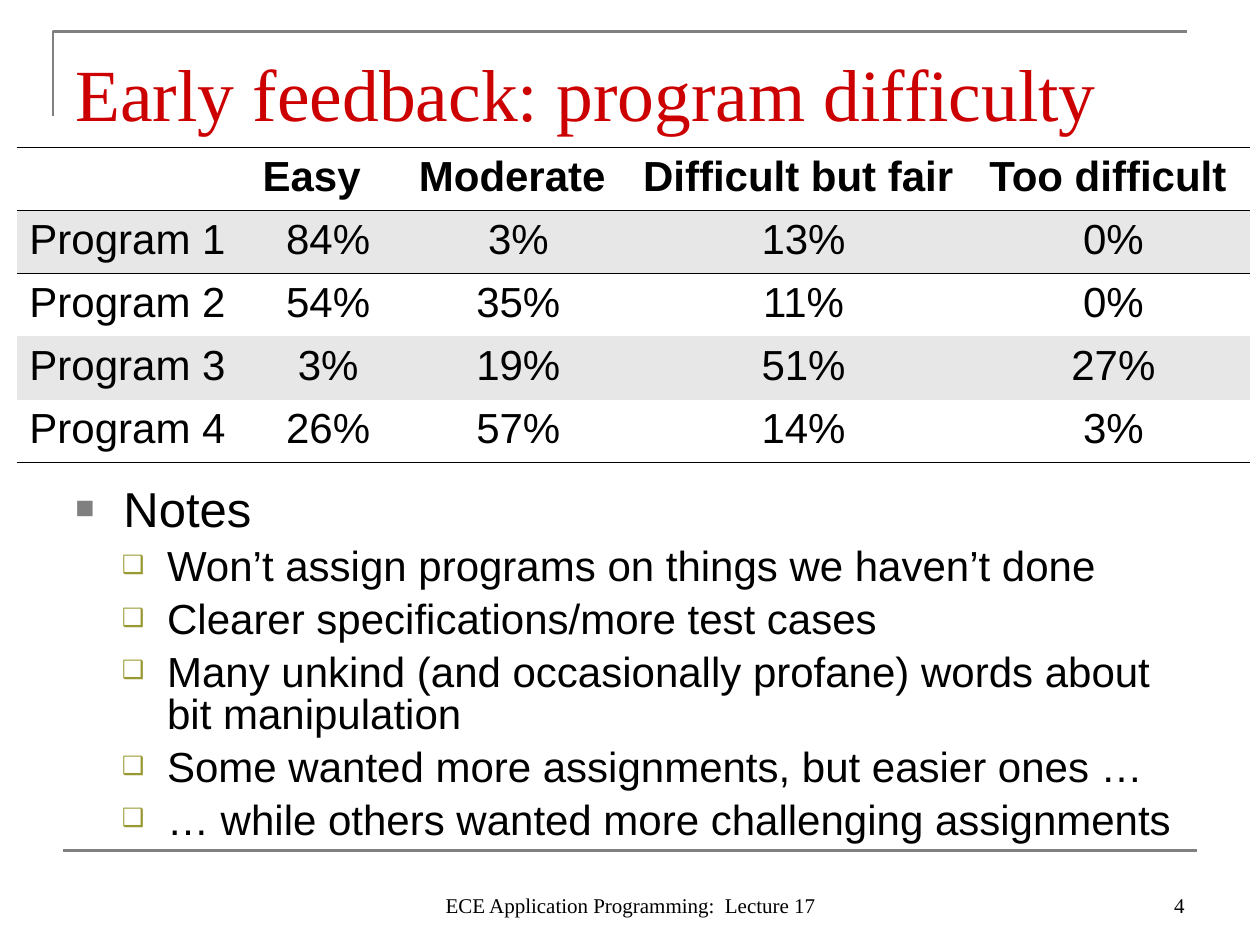
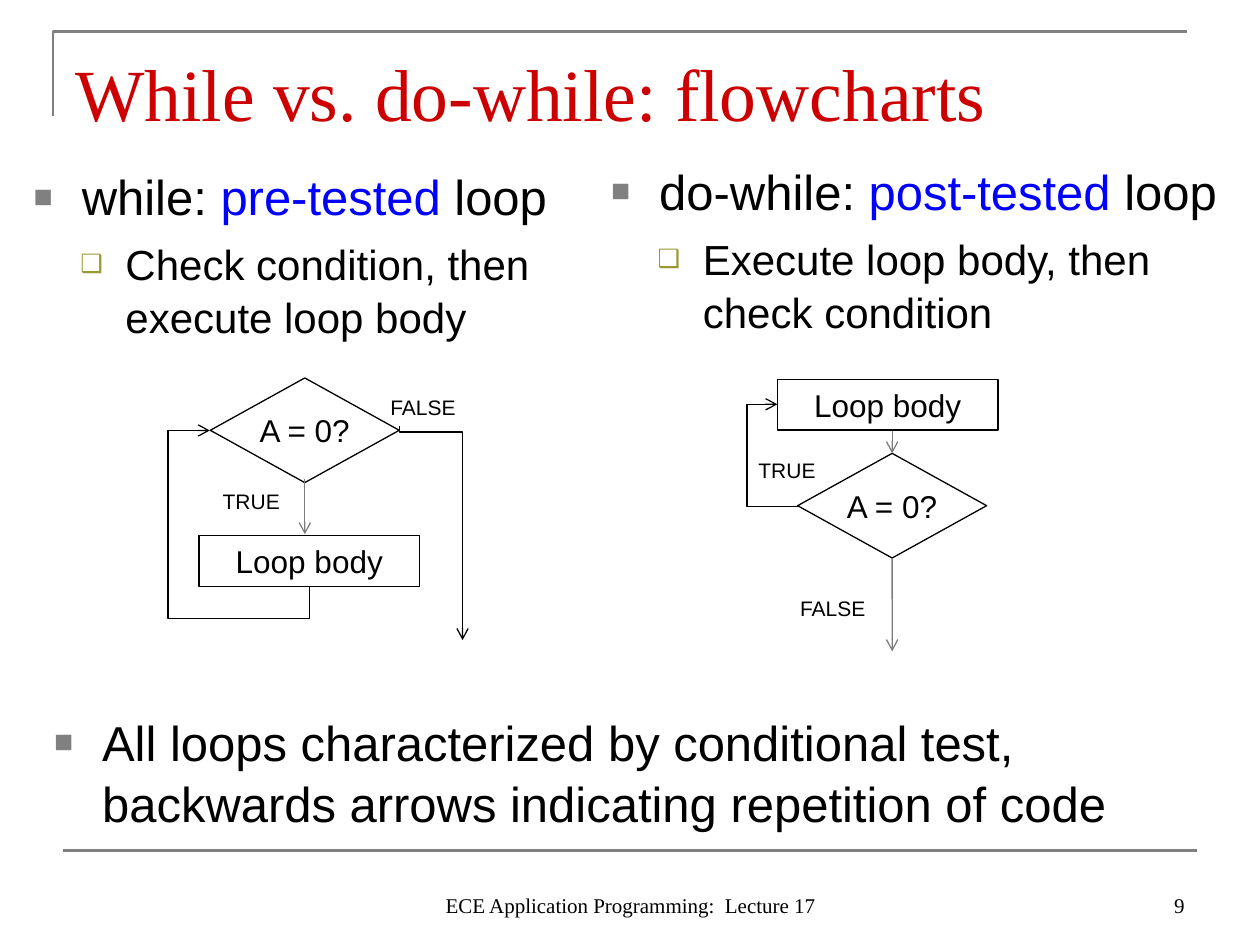
"""Build two lecture slides: a feedback table and a pair of loop flowcharts."""
from lxml.etree import SubElement as Sub
from pptx import Presentation
from pptx.dml.color import RGBColor
from pptx.enum.shapes import MSO_CONNECTOR as Link, MSO_SHAPE as Kind
from pptx.enum.text import MSO_ANCHOR as Anchor, PP_ALIGN as Align
from pptx.oxml.ns import qn
from pptx.util import Cm, Pt

RED = RGBColor(0xCC, 0x00, 0x00)
BLACK = RGBColor(0x00, 0x00, 0x00)
WHITE = RGBColor(0xFF, 0xFF, 0xFF)
BAND = RGBColor(0xE7, 0xE7, 0xE7)
BLUE = RGBColor(0x00, 0x00, 0xFF)
GRAY = RGBColor(0x80, 0x80, 0x80)
DIM = RGBColor(0x7D, 0x7D, 0x7D)
OLIVE = RGBColor(0x99, 0x99, 0x33)
SANS, SERIF = "Arial", "Times New Roman"
PLAIN = "{2D5ABB26-0587-4C30-8999-92F81FD0307C}"

FOOT = "ECE Application Programming:  Lecture 17"
TITLES = {4: "Early feedback: program difficulty", 9: "While vs. do-while: flowcharts"}

GRID = [
    ("", "Easy", "Moderate", "Difficult but fair", "Too difficult"),
    ("Program 1", "84%", "3%", "13%", "0%"),
    ("Program 2", "54%", "35%", "11%", "0%"),
    ("Program 3", "3%", "19%", "51%", "27%"),
    ("Program 4", "26%", "57%", "14%", "3%"),
]
COLS = (4.7, 3.15, 4.52, 6.98, 5.51)
ROW = 1.27

NOTES = [
    (0, ["Notes"]),
    (1, ["Won’t assign programs on things we haven’t done"]),
    (1, ["Clearer specifications/more test cases"]),
    (1, ["Many unkind (and occasionally profane) words about bit manipulation"]),
    (1, ["Some wanted more assignments, but easier ones …"]),
    (1, ["… while others wanted more challenging assignments"]),
]
PRE = [
    (0, ["while: ", ("pre-tested", BLUE), " loop"]),
    (1, ["Check condition, then execute loop body"]),
]
POST = [
    (0, ["do-while: ", ("post-tested", BLUE), " loop"]),
    (1, ["Execute loop body, then check condition"]),
]
ALL = [(0, ["All loops characterized by conditional test, "
            "backwards arrows indicating repetition of code"])]

LEVELS = [
    dict(mark="■", tint=GRAY, part=65, left=0.97, hang=0.97, size=28, gap=7),
    dict(mark="❑", tint=OLIVE, part=60, left=1.85, hang=0.91, size=24, gap=6),
]

TESTS = [(4.24, 7.62), (16.08, 9.14)]
BODIES = [(4.01, 10.8), (15.67, 7.65)]
TEST, BODY = (3.81, 2.11), (4.45, 1.02)
LABELS = [
    ("FALSE", 7.62, 7.82), ("TRUE", 4.24, 9.73),
    ("FALSE", 15.88, 11.89), ("TRUE", 15.04, 9.09),
]
ELBOWS = [
    ((6.53, 10.11, 4.32, 1.27), 270, "flipH", (2900,)),
    ((3.66, 9.25, 3.15, 2.01), 270, "flipV", (-20200, 142100)),
    ((15.67, 8.15, 0.41, 2.06), 180, None, (249900,)),
]


def write(para, text, size, face=SANS, tint=BLACK, bold=False):
    run = para.add_run()
    run.text = text
    font = run.font
    font.size, font.name, font.bold = Pt(size), face, bold
    font.color.rgb = tint


def box(slide, area, anchor=Anchor.TOP):
    frame = slide.shapes.add_textbox(*map(Cm, area)).text_frame
    frame.word_wrap = True
    frame.vertical_anchor = anchor
    return frame


def label(slide, area, text, size, face=SANS, tint=BLACK, align=Align.LEFT, anchor=Anchor.TOP):
    frame = box(slide, area, anchor)
    para = frame.paragraphs[0]
    para.alignment = align
    write(para, text, size, face, tint)
    return frame


def bullets(slide, area, items, pitch=1.05):
    frame = box(slide, area)
    for i, (depth, parts) in enumerate(items):
        para = frame.add_paragraph() if i else frame.paragraphs[0]
        look = LEVELS[depth]
        para.level = depth
        para.line_spacing = pitch
        if i:
            para.space_before = Pt(look["gap"])
        props = para._p.get_or_add_pPr()
        props.set("marL", str(Cm(look["left"])))
        props.set("indent", str(-Cm(look["hang"])))
        Sub(Sub(props, qn("a:buClr")), qn("a:srgbClr"), val=str(look["tint"]))
        Sub(props, qn("a:buSzPct"), val=str(look["part"] * 1000))
        Sub(props, qn("a:buFont"), typeface=SANS)
        Sub(props, qn("a:buChar"), char=look["mark"])
        for part in parts:
            text, tint = (part, BLACK) if isinstance(part, str) else part
            write(para, text, look["size"], tint=tint)
    return frame


def stroke(shape, tint, width):
    shape.line.color.rgb = tint
    shape.line.width = Pt(width)


def link(slide, kind, ends, tint=BLACK, width=0.75, arrow=True):
    line = slide.shapes.add_connector(kind, *map(Cm, ends))
    stroke(line, tint, width)
    props = line._element.spPr
    if arrow:
        Sub(props.find(qn("a:ln")), qn("a:tailEnd"), type="arrow")
    Sub(props, qn("a:effectLst"))
    return line


def elbow(slide, area, turn, flip, bends):
    x, y, w, h = area
    props = link(slide, Link.ELBOW, (x, y, x + w, y + h))._element.spPr
    frame = props.find(qn("a:xfrm"))
    frame.set("rot", str(turn * 60000))
    if flip:
        frame.set(flip, "1")
    geom = props.find(qn("a:prstGeom"))
    geom.set("prst", f"bentConnector{len(bends) + 2}")
    guides = geom.find(qn("a:avLst"))
    for i, bend in enumerate(bends, 1):
        Sub(guides, qn("a:gd"), name=f"adj{i}", fmla=f"val {bend}")


def node(slide, kind, spot, size, text):
    shape = slide.shapes.add_shape(kind, *map(Cm, spot + size))
    shape.shadow.inherit = False
    shape.fill.background()
    stroke(shape, BLACK, 0.75)
    frame = shape.text_frame
    frame.word_wrap = False
    frame.vertical_anchor = Anchor.MIDDLE
    para = frame.paragraphs[0]
    para.alignment = Align.CENTER
    write(para, text, 18)
    return shape


def start(deck, number):
    slide = deck.slides.add_slide(deck.slide_layouts[6])
    pen = slide.shapes.build_freeform(Cm(1.07), Cm(2.34))
    pen.add_line_segments([(Cm(1.07), Cm(0.64)), (Cm(23.93), Cm(0.64))], close=False)
    corner = pen.convert_to_shape()
    corner.shadow.inherit = False
    corner.fill.background()
    stroke(corner, GRAY, 1.5)
    link(slide, Link.STRAIGHT, (1.27, 17.15, 24.13, 17.15), GRAY, 1.5, False)
    title = label(slide, (1.27, 0.76, 22.86, 1.98), TITLES[number], 42, SERIF, RED,
                  anchor=Anchor.BOTTOM)
    title.margin_bottom = 0
    label(slide, (8.69, 17.35, 8.05, 1.27), FOOT, 12, SERIF,
          align=Align.CENTER, anchor=Anchor.BOTTOM)
    label(slide, (18.21, 17.35, 5.92, 1.27), str(number), 12, SERIF,
          align=Align.RIGHT, anchor=Anchor.BOTTOM)
    return slide


def rule(cell, sides):
    props = cell._tc.get_or_add_tcPr()
    for i, side in enumerate(sides):
        edge = Sub(props, qn(f"a:ln{side}"), w=str(Pt(0.96)))
        Sub(Sub(edge, qn("a:solidFill")), qn("a:srgbClr"), val=str(BLACK))
        props.insert(i, edge)


def chart_grid(slide):
    area = (0.34, 2.97, sum(COLS), ROW * len(GRID))
    table = slide.shapes.add_table(len(GRID), len(COLS), *map(Cm, area)).table
    table.first_row = table.horz_banding = False
    table._tbl.tblPr.find(qn("a:tableStyleId")).text = PLAIN
    for col, width in zip(table.columns, COLS):
        col.width = Cm(width)
    edges = {0: "TB", 1: "T", len(GRID) - 1: "B"}
    for r, row in enumerate(GRID):
        table.rows[r].height = Cm(ROW)
        for c, text in enumerate(row):
            cell = table.cell(r, c)
            cell.fill.solid()
            cell.fill.fore_color.rgb = BAND if r % 2 else WHITE
            rule(cell, edges.get(r, ""))
            para = cell.text_frame.paragraphs[0]
            if r and c:
                para.alignment = Align.CENTER
            if text:
                write(para, text, 24, bold=r == 0)


def flows(slide):
    tests = [node(slide, Kind.FLOWCHART_DECISION, spot, TEST, "A = 0?") for spot in TESTS]
    for spot in BODIES:
        node(slide, Kind.RECTANGLE, spot, BODY, "Loop body")
    for text, x, y in LABELS:
        label(slide, (x, y, 2.34, 0.76), text, 12)
    for bend in ELBOWS:
        elbow(slide, *bend)
    mids = [x + TEST[0] / 2 for x, _ in TESTS]
    link(slide, Link.STRAIGHT, (mids[0], 9.65, mids[0], 10.77), DIM)
    enter = link(slide, Link.STRAIGHT, (mids[1], 8.69, mids[1], 9.14), DIM)
    enter.end_connect(tests[1], 0)
    leave = link(slide, Link.STRAIGHT, (mids[1], 11.25, mids[1], 13.13), DIM)
    leave.begin_connect(tests[1], 2)


def main():
    deck = Presentation()
    deck.slide_width, deck.slide_height = Cm(25.4), Cm(19.05)
    slide = start(deck, 4)
    chart_grid(slide)
    notes = bullets(slide, (1.27, 9.63, 22.86, 7.72), NOTES, 0.84)
    notes.margin_top = Cm(0.2)
    slide = start(deck, 9)
    bullets(slide, (0.43, 3.18, 11.23, 13.84), PRE)
    bullets(slide, (12.07, 3.07, 12.9, 13.84), POST)
    flows(slide)
    bullets(slide, (0.84, 14.17, 23.7, 3.28), ALL)
    deck.save("out.pptx")


if __name__ == "__main__":
    main()
